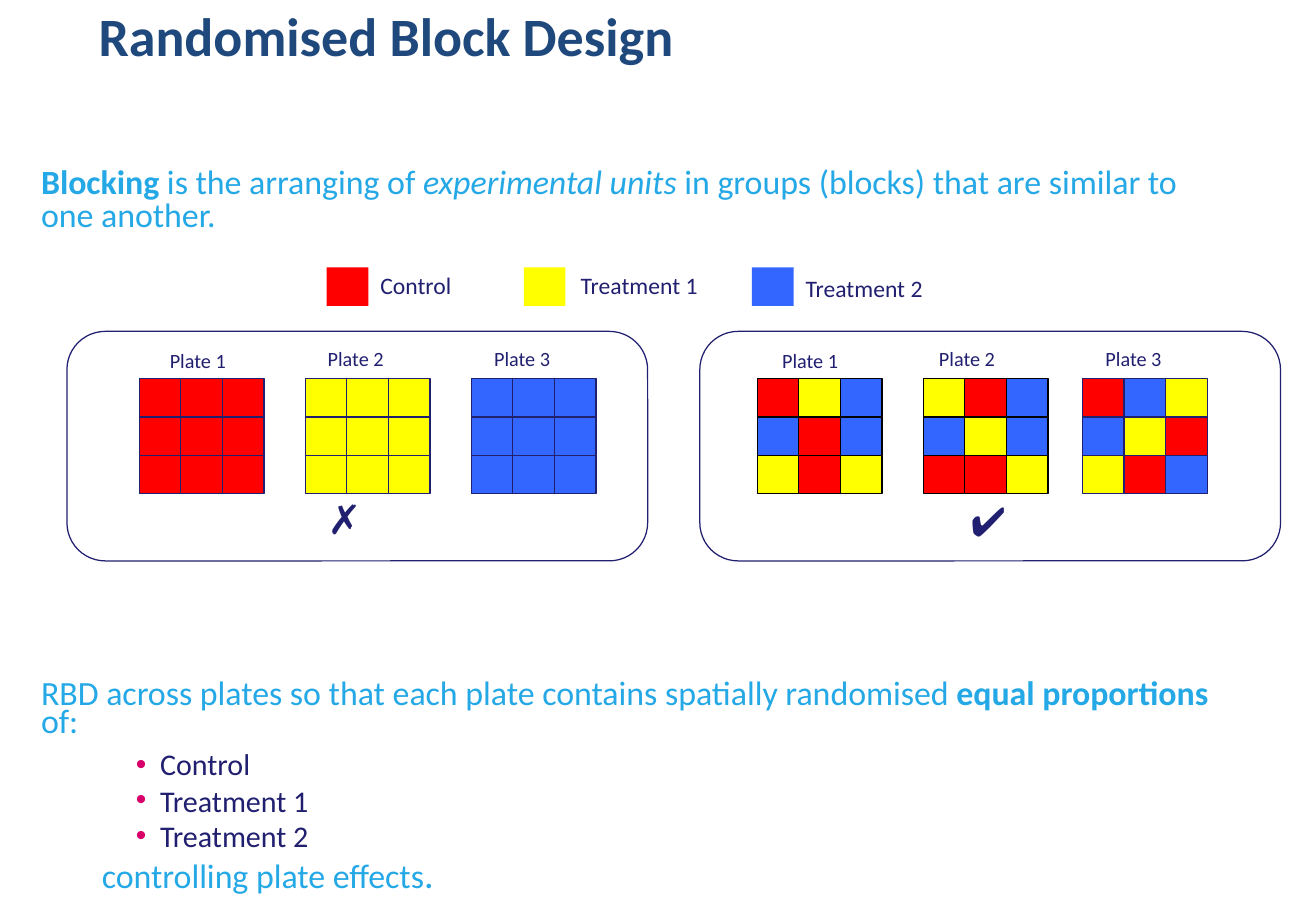
from dataclasses import dataclass

from lxml import etree
from pptx import Presentation
from pptx.dml.color import RGBColor
from pptx.enum.shapes import MSO_SHAPE
from pptx.enum.text import MSO_ANCHOR, MSO_AUTO_SIZE, PP_ALIGN
from pptx.oxml.ns import qn
from pptx.util import Cm, Pt

RECTANGLE = MSO_SHAPE.RECTANGLE
ROUNDED = MSO_SHAPE.ROUNDED_RECTANGLE
TOP = MSO_ANCHOR.TOP
LEFT = PP_ALIGN.LEFT
FIXED = MSO_AUTO_SIZE.NONE
TITLE_ONLY = 5


@dataclass(frozen=True)
class Theme:
    font: str = "Calibri"
    mark_font: str = "Arial"
    title: str = "1F497D"
    body: str = "24A8E6"
    navy: str = "211F70"
    black: str = "000000"
    bullet: str = "D8006B"
    control: str = "FF0000"
    treatment_1: str = "FFFF00"
    treatment_2: str = "3366FF"
    title_size: float = 32
    body_size: float = 20.1
    stop_size: float = 22.5
    list_size: float = 17.8
    legend_size: float = 14
    plate_size: float = 12
    mark_size: float = 24
    line_width: float = 0.75


THEME = Theme()
CELL_COLOURS = {"C": THEME.control, "1": THEME.treatment_1, "2": THEME.treatment_2}
CELL_WIDTH, CELL_HEIGHT = 0.87, 0.8
PLATE_TOP = 7.92
PANEL_TOP, PANEL_WIDTH, PANEL_HEIGHT = 6.93, 12.14, 4.8
LEGEND_TOP = 5.59
TREATMENTS = ("Control", "Treatment 1", "Treatment 2")

# Square left, label left, label top
LEGEND = ((6.83, 7.7, 5.54), (10.95, 11.89, 5.54), (15.72, 16.59, 5.59))
LABEL_TOPS = (7.16, 7.12, 7.12)
# Panel left, then plates: left, label left, rows of treatments, line colour
PANELS = (
    (1.4, (
        (2.91, 3.3, ("CCC",) * 3, THEME.navy),
        (6.38, 6.6, ("111",) * 3, THEME.navy),
        (9.85, 10.08, ("222",) * 3, THEME.navy),
    )),
    (14.63, (
        (15.83, 16.1, ("C12", "2C2", "1C1"), THEME.black),
        (19.3, 19.38, ("1C2", "212", "CC1"), THEME.black),
        (22.63, 22.86, ("C21", "21C", "1C2"), THEME.navy),
    )),
)


def set_format(target, values):
    for name, value in values.items():
        setattr(target, name, value)


def add_run(paragraph, text, size, colour, font=THEME.font, **style):
    run = paragraph.add_run()
    run.text = text
    set_format(run.font, {"name": font, "size": Pt(size), **style})
    run.font.color.rgb = RGBColor.from_string(colour)


def format_frame(frame, margins=(0, 0), wrap=True):
    horizontal, vertical = (Cm(margin) for margin in margins)
    set_format(frame, {
        "margin_left": horizontal, "margin_right": horizontal,
        "margin_top": vertical, "margin_bottom": vertical,
        "word_wrap": wrap, "auto_size": FIXED, "vertical_anchor": TOP,
    })


def add_text_box(slide, left, top, width, height, **frame_format):
    frame = slide.shapes.add_textbox(Cm(left), Cm(top), Cm(width), Cm(height)).text_frame
    format_frame(frame, **frame_format)
    return frame


def add_label(slide, text, left, top, width, height, size, font=THEME.font, spacing=1.0):
    frame = add_text_box(slide, left, top, width, height, margins=(0.25, 0.13), wrap=False)
    paragraph = frame.paragraphs[0]
    paragraph.line_spacing = spacing
    add_run(paragraph, text, size, THEME.navy, font)


def add_box(shapes, kind, left, top, width, height, fill=None, line=None):
    shape = shapes.add_shape(kind, Cm(left), Cm(top), Cm(width), Cm(height))
    shape.shadow.inherit = False
    if fill:
        shape.fill.solid()
        shape.fill.fore_color.rgb = RGBColor.from_string(fill)
    else:
        shape.fill.background()
    if line:
        shape.line.color.rgb = RGBColor.from_string(line)
        shape.line.width = Pt(THEME.line_width)
    else:
        shape.line.fill.background()


def set_indent(paragraph, left, first_line=0.0, bullet=None):
    properties = paragraph._p.get_or_add_pPr()
    properties.set("marL", str(Cm(left)))
    properties.set("indent", str(Cm(first_line)))
    if bullet:
        colour = etree.SubElement(properties, qn("a:buClr"))
        etree.SubElement(colour, qn("a:srgbClr"), val=THEME.bullet)
        etree.SubElement(properties, qn("a:buFont"), typeface=THEME.mark_font)
        etree.SubElement(properties, qn("a:buChar"), char=bullet)


def add_title(slide, text):
    title = slide.shapes.title
    set_format(title, {"left": Cm(2.06), "top": Cm(0.13), "width": Cm(23.39), "height": Cm(3.18)})
    format_frame(title.text_frame)
    paragraph = title.text_frame.paragraphs[0]
    set_format(paragraph, {"alignment": LEFT, "line_spacing": Pt(36)})
    add_run(paragraph, text, THEME.title_size, THEME.title, bold=True)


def add_definition(slide):
    paragraph = add_text_box(slide, 0.86, 3.53, 24.59, 1.6).paragraphs[0]
    paragraph.line_spacing = 0.8
    for text, style in (
        ("Blocking", {"bold": True}),
        (" is the arranging of ", {}),
        ("experimental units ", {"italic": True}),
        ("in groups (blocks) that are similar to one another.", {}),
    ):
        add_run(paragraph, text, THEME.body_size, THEME.body, **style)


def add_legend(slide):
    for name, colour, (left, label_left, label_top) in zip(
            TREATMENTS, CELL_COLOURS.values(), LEGEND):
        add_box(slide.shapes, RECTANGLE, left, LEGEND_TOP, CELL_WIDTH, 0.81, fill=colour)
        add_label(slide, name, label_left, label_top, 3.02, 0.86, THEME.legend_size)


def add_plate(slide, left, rows, line):
    plate = slide.shapes.add_group_shape()
    for row, treatments in enumerate(rows):
        for column, treatment in enumerate(treatments):
            add_box(plate.shapes, RECTANGLE, left + column * CELL_WIDTH,
                    PLATE_TOP + row * CELL_HEIGHT, CELL_WIDTH, CELL_HEIGHT,
                    CELL_COLOURS[treatment], line)


def add_panel(slide, left, plates):
    add_box(slide.shapes, ROUNDED, left, PANEL_TOP, PANEL_WIDTH, PANEL_HEIGHT, line=THEME.navy)
    for number, (plate_left, label_left, rows, line) in enumerate(plates, start=1):
        add_plate(slide, plate_left, rows, line)
        add_label(slide, f"Plate {number}", label_left, LABEL_TOPS[number - 1],
                  1.7, 0.76, THEME.plate_size)


def add_conclusion(slide):
    frame = add_text_box(slide, 0.86, 14.27, 24.59, 4.3)
    opening = frame.paragraphs[0]
    for text, bold in (
        ("RBD across plates so that each plate contains spatially randomised ", False),
        ("equal proportions", True),
        (" of:", False),
    ):
        add_run(opening, text, THEME.body_size, THEME.body, bold=bold)
    for name in TREATMENTS:
        item = frame.add_paragraph()
        set_indent(item, 2.49, -0.51, "•")
        add_run(item, name, THEME.list_size, THEME.navy)
    closing = frame.add_paragraph()
    set_indent(closing, 1.27)
    add_run(closing, "controlling plate effects", THEME.body_size, THEME.body)
    add_run(closing, ".", THEME.stop_size, THEME.body)
    for paragraph, spacing in zip(frame.paragraphs, (0.7, 0.9, 0.7, 0.7, 0.7)):
        set_format(paragraph, {"line_spacing": spacing, "space_after": Pt(6)})


def main():
    presentation = Presentation()
    set_format(presentation, {"slide_width": Cm(27.51), "slide_height": Cm(19.05)})
    slide = presentation.slides.add_slide(presentation.slide_layouts[TITLE_ONLY])
    add_title(slide, "Randomised Block Design")
    add_definition(slide)
    add_legend(slide)
    for left, plates in PANELS:
        add_panel(slide, left, plates)
    add_label(slide, "✗", 6.6, 10.72, 1.09, 0.76, THEME.mark_size, THEME.mark_font, 0.4)
    add_label(slide, "✔", 20.04, 10.24, 2.16, 1.27, THEME.mark_size, THEME.mark_font)
    add_conclusion(slide)
    presentation.save("out.pptx")


if __name__ == "__main__":
    main()
